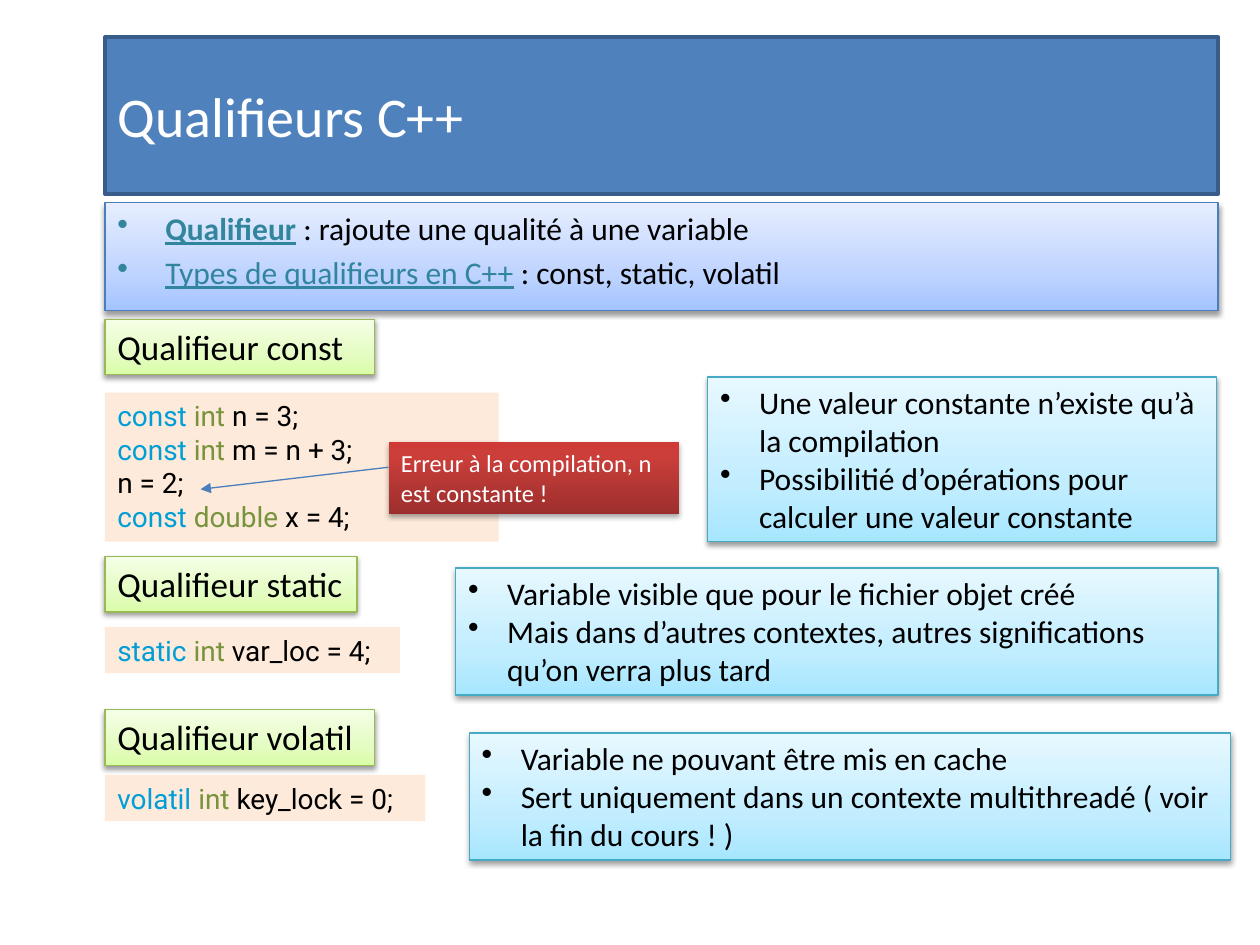
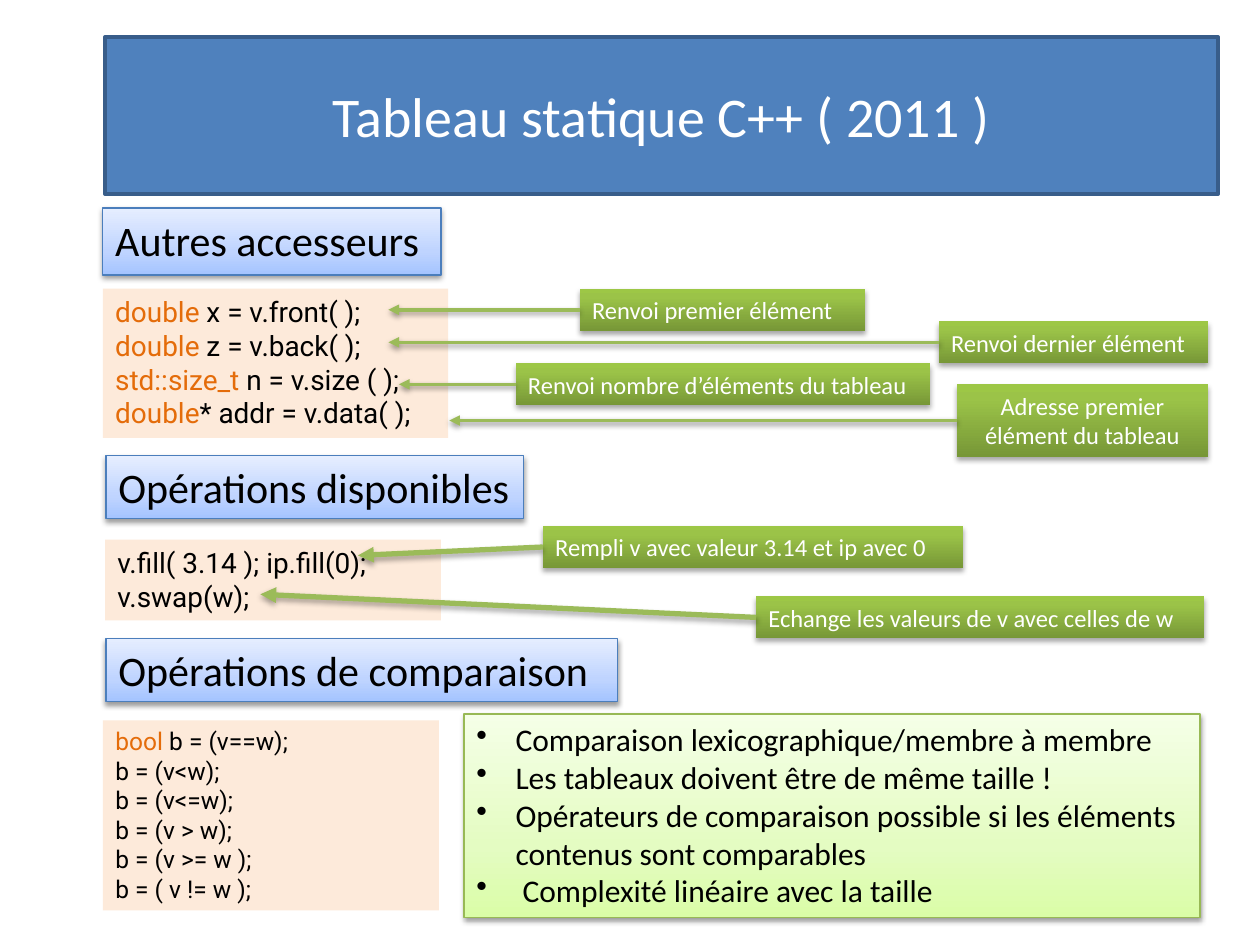
from dataclasses import dataclass
from typing import NamedTuple, Optional

from lxml import etree
from pptx import Presentation, util as u
from pptx.dml.color import RGBColor
from pptx.enum import shapes, text
from pptx.oxml.ns import qn

# Grid: 120 columns by 90 rows on a 10 x 7.5 inch slide
WIDTH, HEIGHT = u.Inches(10), u.Inches(7.5)
COLUMNS, ROWS = 120, 90
LEFT = 10

# Colours and fonts
BLACK, WHITE = "000000", "FFFFFF"
TEAL, CYAN, OLIVE, ORANGE = "31859C", "009ED6", "77933C", "E46C0A"
TITLE_FILL, TITLE_LINE = "4F81BD", "385D8A"
ARROW_GREEN, ARROW_BLUE = "9BBB59", "4B7EBC"
BODY_FONT, CODE_FONT = "Calibri", "Roboto"


class Shadow(NamedTuple):
    opacity: int
    distance: float


class Frame(NamedTuple):
    left: float
    top: float
    width: float
    height: float


class Run(NamedTuple):
    text: str
    color: Optional[str] = None
    bold: bool = False
    underline: bool = False


SOFT, STRONG = Shadow(38, 1.6), Shadow(35, 1.8)


@dataclass(frozen=True)
class Style:
    """Look of one family of boxes; stops run from bottom to top."""
    size: float
    fill: str = ""
    stops: tuple = ()
    line: str = ""
    shadow: Optional[Shadow] = None
    font: str = BODY_FONT
    color: str = BLACK
    indent: float = 0
    gap: float = 0
    centred: bool = False


BLUE = ((0, "A4C4FF"), (35, "BFD4FF"), (100, "E6EEFF"))
LIME = ((0, "DAFDA7"), (35, "E4FCC2"), (100, "F5FFE7"))
AQUA = ((0, "A7E6FF"), (35, "C1EDFF"), (100, "E7F8FF"))
RED = ((0, "9C2F2D"), (80, "CB3E3A"), (100, "CE3B37"))
GREEN = ((0, "779737"), (80, "9BC348"), (100, "9DC746"))

INTRO = Style(18, stops=BLUE, line="4B7EBC", shadow=SOFT, indent=0.38, gap=3.6)
SECTION = Style(24, stops=BLUE, line="4B7EBC", shadow=SOFT)
QUALIFIER = Style(20, stops=LIME, line="98B955", shadow=SOFT)
CODE = Style(16, fill="FDEADA", font=CODE_FONT)
SMALL_CODE = Style(14, fill="FDEADA", font=CODE_FONT)
NOTES = Style(18, stops=AQUA, line="46AAC5", shadow=SOFT, indent=0.31)
LIME_NOTES = Style(18, stops=LIME, line="98B955", shadow=SOFT, indent=0.31)
ERROR = Style(14, stops=RED, shadow=STRONG, color=WHITE)
LABEL = Style(14, stops=GREEN, shadow=STRONG, color=WHITE)
CENTRED_LABEL = Style(14, stops=GREEN, shadow=STRONG, color=WHITE, centred=True)


class Box(NamedTuple):
    style: Style
    frame: Frame
    lines: tuple  # each line is a string or a tuple of runs


class Callout(NamedTuple):
    box: Box
    tip: tuple  # column and row of the arrowhead
    weight: float
    shadow: Shadow


# Helpers
def rgb(color: str) -> RGBColor:
    return RGBColor.from_string(color)


def x(columns: float) -> int:
    return round(WIDTH * columns / COLUMNS)


def y(rows: float) -> int:
    return round(HEIGHT * rows / ROWS)


def add_child(parent, tag: str, **attributes):
    values = {key: str(value) for key, value in attributes.items()}
    return etree.SubElement(parent, qn(tag), values)


def set_gradient(shape, stops: tuple) -> None:
    shape.fill.gradient()
    shape.fill.gradient_angle = 90
    stop_list = shape.fill._xPr.find(".//" + qn("a:gsLst"))
    for old in list(stop_list):
        stop_list.remove(old)
    for position, color in stops:
        stop = add_child(stop_list, "a:gs", pos=position * 1000)
        add_child(stop, "a:srgbClr", val=color)


def set_effects(properties, shadow: Optional[Shadow]) -> None:
    """An empty effect list removes the shadow of the theme."""
    for old in properties.findall(qn("a:effectLst")):
        properties.remove(old)
    effects = add_child(properties, "a:effectLst")
    if shadow:
        outer = add_child(effects, "a:outerShdw", blurRad=u.Pt(3.1),
                          dist=u.Pt(shadow.distance), dir=5400000, rotWithShape=0)
        color = add_child(outer, "a:srgbClr", val=BLACK)
        add_child(color, "a:alpha", val=shadow.opacity * 1000)


def add_run(paragraph, part: Run, style: Style) -> None:
    run = paragraph.add_run()
    run.text = part.text
    font = run.font
    font.name, font.size = style.font, u.Pt(style.size)
    font.bold, font.underline = part.bold, part.underline
    font.color.rgb = rgb(part.color or style.color)


def write_lines(frame, lines: tuple, style: Style) -> None:
    for index, line in enumerate(lines):
        paragraph = frame.add_paragraph() if index else frame.paragraphs[0]
        if style.indent:
            properties = paragraph._p.get_or_add_pPr()
            properties.set("marL", str(u.Inches(style.indent)))
            properties.set("indent", str(-u.Inches(style.indent)))
            add_child(properties, "a:buChar", char="•")
        if index:
            paragraph.space_before = u.Pt(style.gap)
        align = text.PP_ALIGN
        paragraph.alignment = align.CENTER if style.centred else align.LEFT
        for part in (Run(line),) if isinstance(line, str) else line:
            add_run(paragraph, part, style)


def add_box(slide, box: Box):
    style, frame = box.style, box.frame
    shape = slide.shapes.add_shape(
        shapes.MSO_SHAPE.RECTANGLE,
        x(frame.left), y(frame.top), x(frame.width), y(frame.height))
    if style.stops:
        set_gradient(shape, style.stops)
    else:
        shape.fill.solid()
        shape.fill.fore_color.rgb = rgb(style.fill)
    if style.line:
        shape.line.color.rgb = rgb(style.line)
        shape.line.width = u.Pt(0.75)
    else:
        shape.line.fill.background()
    shape.shadow.inherit = False
    set_effects(shape._element.spPr, style.shadow)
    body = shape.text_frame
    body.word_wrap = True
    body.vertical_anchor = text.MSO_ANCHOR.TOP
    write_lines(body, box.lines, style)
    return shape


def add_arrow(slide, start: tuple, tip: tuple, color: str, weight: float,
              shadow: Optional[Shadow] = None):
    arrow = slide.shapes.add_connector(
        shapes.MSO_CONNECTOR.STRAIGHT, x(start[0]), y(start[1]), x(tip[0]), y(tip[1]))
    arrow.line.color.rgb = rgb(color)
    arrow.line.width = u.Pt(weight)
    add_child(arrow.line._get_or_add_ln(), "a:tailEnd", type="triangle")
    set_effects(arrow._element.spPr, shadow)
    return arrow


def add_callout(slide, callout: Callout) -> None:
    frame = callout.box.frame
    label = add_box(slide, callout.box)
    start = (frame.left, frame.top + frame.height / 2)
    arrow = add_arrow(slide, start, callout.tip, ARROW_GREEN,
                      callout.weight, callout.shadow)
    arrow.begin_connect(label, 1)


def add_titled_slide(deck, heading: str, centred: bool = False):
    slide = deck.slides.add_slide(deck.slide_layouts[5])
    title = slide.shapes.title
    title.left, title.top = x(LEFT), y(3.5)
    title.width, title.height = x(106), y(15)
    title.fill.solid()
    title.fill.fore_color.rgb = rgb(TITLE_FILL)
    title.line.color.rgb = rgb(TITLE_LINE)
    title.line.width = u.Pt(2)
    body = title.text_frame
    body.word_wrap = True
    body.auto_size = text.MSO_AUTO_SIZE.NONE
    body.vertical_anchor = text.MSO_ANCHOR.MIDDLE
    write_lines(body, (heading,), Style(32, color=WHITE, centred=centred))
    return slide


# Code lines
def declaration(qualifier: str, kind: str, rest: str) -> tuple:
    return Run(qualifier + " ", CYAN), Run(kind, OLIVE), Run(rest)


def typed(kind: str, rest: str) -> tuple:
    return Run(kind, ORANGE), Run(rest)


# Slide: qualifiers
QUALIFIER_BOXES = (
    Box(INTRO, Frame(LEFT, 19.3, 106, 10.3), (
        (Run("Qualifieur", TEAL, bold=True, underline=True),
         Run(" : rajoute une qualité à une variable")),
        (Run("Types de qualifieurs en C++", TEAL, underline=True),
         Run(" : const, static, volatil")))),
    Box(QUALIFIER, Frame(LEFT, 30.4, 25.7, 5.3), ("Qualifieur const",)),
    Box(CODE, Frame(LEFT, 37.4, 37.5, 14.2), (
        declaration("const", "int", " n = 3;"),
        declaration("const", "int", " m = n + 3;"),
        "n = 2;",
        declaration("const", "double", " x = 4;"))),
    Box(ERROR, Frame(37, 42.1, 27.7, 6.9),
        ("Erreur à la compilation, n est constante !",)),
    Box(NOTES, Frame(67.4, 35.9, 48.5, 15.7), (
        "Une valeur constante n’existe qu’à la compilation",
        "Possibilitié d’opérations pour calculer une valeur constante")),
    Box(QUALIFIER, Frame(LEFT, 53, 24, 5.3), ("Qualifieur static",)),
    Box(CODE, Frame(LEFT, 59.7, 28.1, 4.4),
        (declaration("static", "int", " var_loc = 4;"),)),
    Box(NOTES, Frame(43.4, 54.1, 72.6, 12.1), (
        "Variable visible que pour le fichier objet créé",
        "Mais dans d’autres contextes, autres significations qu’on verra plus tard")),
    Box(QUALIFIER, Frame(LEFT, 67.6, 25.7, 5.3), ("Qualifieur volatil",)),
    Box(CODE, Frame(LEFT, 73.8, 30.5, 4.4),
        (declaration("volatil", "int", " key_lock = 0;"),)),
    Box(NOTES, Frame(44.7, 69.8, 72.5, 12.1), (
        "Variable ne pouvant être mis en cache",
        "Sert uniquement dans un contexte multithreadé ( voir la fin du cours ! )")),
)

# Slide: static arrays
ARRAY_BOXES = (
    Box(SECTION, Frame(9.8, 19.8, 32.2, 6.4), ("Autres accesseurs",)),
    Box(CODE, Frame(9.8, 27.5, 32.9, 14.2), (
        typed("double", " x = v.front( );"),
        typed("double", " z = v.back( );"),
        typed("std::size_t", " n = v.size ( );"),
        typed("double", "* addr = v.data( );"))),
    Box(SECTION, Frame(10.1, 43.4, 39.8, 6), ("Opérations disponibles",)),
    Box(CODE, Frame(LEFT, 51.4, 32, 7.7),
        ("v.fill( 3.14 ); ip.fill(0);", "v.swap(w);")),
    Box(SECTION, Frame(10.1, 60.8, 48.7, 6), ("Opérations de comparaison",)),
    Box(SMALL_CODE, Frame(9.8, 68.6, 32, 18.1), (
        typed("bool", " b = (v==w);"), "b = (v<w);", "b = (v<=w);",
        "b = (v > w);", "b = (v >= w );", "b = ( v != w );")),
    Box(LIME_NOTES, Frame(44.2, 68, 70.1, 19.4), (
        "Comparaison lexicographique/membre à membre",
        "Les tableaux doivent être de même taille !",
        "Opérateurs de comparaison possible si les éléments contenus sont comparables",
        " Complexité linéaire avec la taille")),
)
ARRAY_CALLOUTS = (
    Callout(Box(LABEL, Frame(55.2, 27.5, 27.2, 4), ("Renvoi premier élément",)),
            (37, 29.5), 2, SOFT),
    Callout(Box(LABEL, Frame(89.4, 30.6, 25.7, 4), ("Renvoi dernier élément",)),
            (37, 32.6), 2, SOFT),
    Callout(Box(LABEL, Frame(49.1, 34.6, 39.5, 4),
                ("Renvoi nombre d’éléments du tableau",)), (38, 36.6), 2, SOFT),
    Callout(Box(CENTRED_LABEL, Frame(91.1, 36.6, 24, 6.9),
                ("Adresse premier élément du tableau",)), (42.8, 40.05), 2, SOFT),
    Callout(Box(LABEL, Frame(51.7, 50.1, 40, 4),
                ("Rempli v avec valeur 3.14 et ip avec 0",)), (34.1, 52.9), 3, STRONG),
    Callout(Box(LABEL, Frame(72, 56.8, 42.7, 4),
                ("Echange les valeurs de v avec celles de w",)), (24.8, 56.6), 3, STRONG),
)


def main() -> None:
    deck = Presentation()
    deck.slide_width, deck.slide_height = WIDTH, HEIGHT

    qualifiers = add_titled_slide(deck, "Qualifieurs C++")
    for box in QUALIFIER_BOXES:
        add_box(qualifiers, box)
    add_arrow(qualifiers, (37, 44.5), (19.1, 46.6), ARROW_BLUE, 0.75)

    arrays = add_titled_slide(deck, "Tableau statique C++ ( 2011 )", centred=True)
    for box in ARRAY_BOXES:
        add_box(arrays, box)
    for callout in ARRAY_CALLOUTS:
        add_callout(arrays, callout)

    deck.save("out.pptx")


if __name__ == "__main__":
    main()
